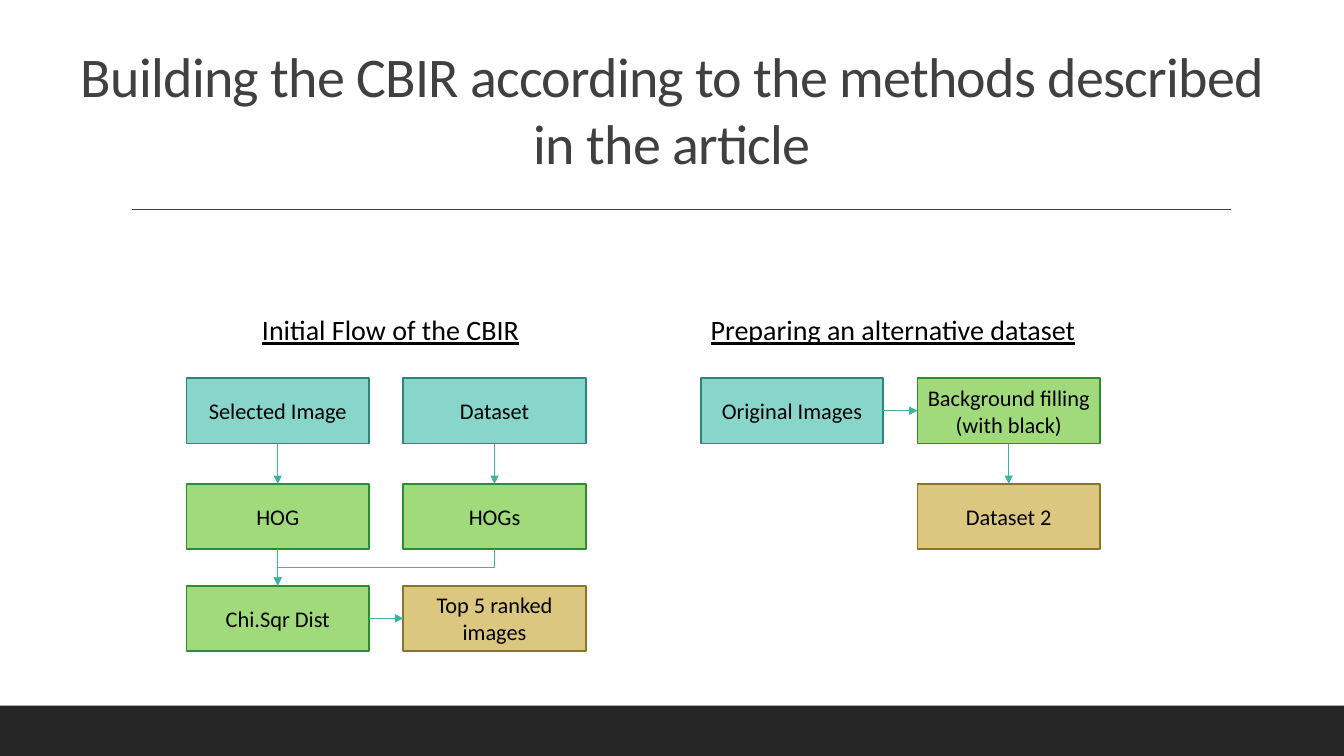
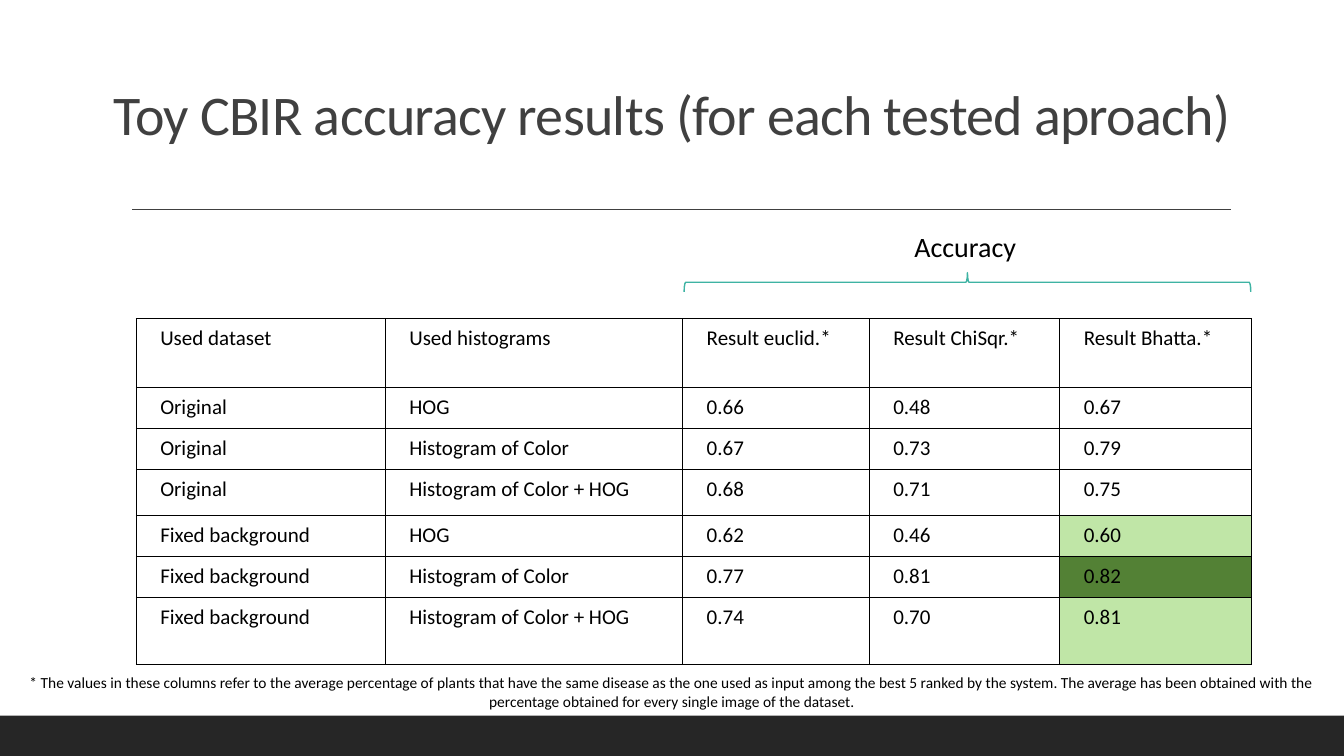
from dataclasses import dataclass

from lxml.etree import SubElement
from pptx import Presentation
from pptx.dml.color import RGBColor
from pptx.enum.shapes import MSO_CONNECTOR, MSO_SHAPE
from pptx.enum.text import MSO_ANCHOR, MSO_AUTO_SIZE, PP_ALIGN
from pptx.oxml.ns import qn
from pptx.util import Inches, Pt


@dataclass(frozen=True)
class Theme:
    font: str = "Calibri"
    title_size: int = 40
    heading_size: int = 20
    box_size: int = 16
    cell_size: int = 15
    note_size: int = 11
    ink: str = "000000"
    paper: str = "FFFFFF"
    title: str = "404040"
    band: str = "262626"
    accent: str = "3EB3A3"
    good: str = "C0E6A7"
    best: str = "538135"
    # Fill and outline of each kind of box
    source: tuple = ("87D5CB", "2E867A")
    step: tuple = ("A0DA7B", "2F8A32")
    result: tuple = ("DBC77F", "8A7427")


theme = Theme()
color = RGBColor.from_string


def write(frame, text, size, ink=theme.ink, align=PP_ALIGN.LEFT, underline=None):
    """Fill a text frame with one formatted paragraph and return its span."""
    para = frame.paragraphs[0]
    para.alignment = align
    span = para.add_run()
    span.text = text
    formats = {"name": theme.font, "size": Pt(size), "underline": underline}
    for name, value in formats.items():
        setattr(span.font, name, value)
    span.font.color.rgb = color(ink)
    return span


def style_line(connector, ink, arrow=False):
    """Give a connector its color, an optional arrowhead and no shadow."""
    connector.line.color.rgb = color(ink)
    connector.line.width = Pt(1)
    if arrow:
        SubElement(connector.line._get_or_add_ln(), qn("a:tailEnd"), type="triangle")
    SubElement(connector.element.spPr, qn("a:effectLst"))


deck = Presentation()
deck.slide_width, deck.slide_height = Inches(13.33), Inches(7.5)
layout = deck.slide_layouts.get_by_name("Title Only")

# Pages with their titles
titles = [
    ("Building the CBIR according to the methods described in the article", 0.35, 1.45),
    ("Toy CBIR accuracy results (for each tested aproach)", 0.74, 0.77),
]
pages = []
for text, top, height in titles:
    page = deck.slides.add_slide(layout)
    title = page.shapes.title
    place = {"left": 0.62, "top": top, "width": 12.09, "height": height}
    for name, value in place.items():
        setattr(title, name, Inches(value))
    title.text_frame.auto_size = MSO_AUTO_SIZE.NONE
    title.text_frame.vertical_anchor = MSO_ANCHOR.MIDDLE
    span = write(title.text_frame, text, theme.title_size, theme.title, PP_ALIGN.CENTER)
    span.font._element.set("spc", "-50")
    pages.append(page)
flow_page, results_page = pages

# Shared band and title rule, moved to the layout
band = flow_page.shapes.add_shape(
    MSO_SHAPE.RECTANGLE, 0, Inches(7), deck.slide_width, Inches(0.5))
band.shadow.inherit = False
band.fill.solid()
band.fill.fore_color.rgb = color(theme.band)
band.line.fill.background()
rule = flow_page.shapes.add_connector(
    MSO_CONNECTOR.STRAIGHT, Inches(1.31), Inches(2.08), Inches(12.21), Inches(2.08))
style_line(rule, theme.title)
for shape in (band, rule):
    layout.shapes.element.append(shape.element)

# Flow headings
headings = [
    ("Initial Flow of the CBIR", 2.5, 2.78),
    ("Preparing an alternative dataset", 6.95, 3.86),
]
for text, left, width in headings:
    heading = flow_page.shapes.add_textbox(
        Inches(left), Inches(3.05), Inches(width), Inches(0.44))
    heading.text_frame.word_wrap = False
    write(heading.text_frame, text, theme.heading_size, underline=True)

# Flow boxes: text, column, row, kind
column_lefts = [1.85, 4, 6.95, 9.1]
row_tops = [3.75, 4.8, 5.81]
box_width, box_height = 1.81, 0.65
steps = [
    ("Selected Image", 0, 0, theme.source),
    ("Dataset", 1, 0, theme.source),
    ("HOG", 0, 1, theme.step),
    ("HOGs", 1, 1, theme.step),
    ("Chi.Sqr Dist", 0, 2, theme.step),
    ("Top 5 ranked images", 1, 2, theme.result),
    ("Original Images", 2, 0, theme.source),
    ("Background filling (with black)", 3, 0, theme.step),
    ("Dataset 2", 3, 1, theme.result),
]
boxes = {}
for text, column, row, (fill, outline) in steps:
    box = flow_page.shapes.add_shape(
        MSO_SHAPE.RECTANGLE, Inches(column_lefts[column]), Inches(row_tops[row]),
        Inches(box_width), Inches(box_height))
    box.shadow.inherit = False
    box.fill.solid()
    box.fill.fore_color.rgb = color(fill)
    box.line.color.rgb = color(outline)
    box.line.width = Pt(1.25)
    box.text_frame.word_wrap = True
    box.text_frame.vertical_anchor = MSO_ANCHOR.MIDDLE
    write(box.text_frame, text, theme.box_size, align=PP_ALIGN.CENTER)
    boxes[column, row] = box

# Straight arrows between box sides
TOP, LEFT, BOTTOM, RIGHT = range(4)
arrows = [
    ((0, 0), BOTTOM, (0, 1), TOP),
    ((1, 0), BOTTOM, (1, 1), TOP),
    ((0, 1), BOTTOM, (0, 2), TOP),
    ((0, 2), RIGHT, (1, 2), LEFT),
    ((2, 0), RIGHT, (3, 0), LEFT),
    ((3, 0), BOTTOM, (3, 1), TOP),
]
for start, start_side, end, end_side in arrows:
    arrow = flow_page.shapes.add_connector(MSO_CONNECTOR.STRAIGHT, 0, 0, 0, 0)
    arrow.begin_connect(boxes[start], start_side)
    arrow.end_connect(boxes[end], end_side)
    style_line(arrow, theme.accent, arrow=True)

# Elbow from HOGs down to Chi.Sqr Dist, turned to leave vertically
span_x = column_lefts[1] - column_lefts[0]
drop = row_tops[2] - row_tops[1] - box_height
center_x = column_lefts[0] + (box_width + span_x) / 2
center_y = row_tops[2] - drop / 2
elbow = flow_page.shapes.add_connector(
    MSO_CONNECTOR.ELBOW,
    Inches(center_x - drop / 2), Inches(center_y - span_x / 2),
    Inches(center_x + drop / 2), Inches(center_y + span_x / 2))
elbow.element.spPr.xfrm.rot = 90
style_line(elbow, theme.accent, arrow=True)

# Results table
rows = [
    ("Used dataset", "Used histograms", "Result euclid.*", "Result ChiSqr.*", "Result Bhatta.*"),
    ("Original", "HOG", "0.66", "0.48", "0.67"),
    ("Original", "Histogram of Color", "0.67", "0.73", "0.79"),
    ("Original", "Histogram of Color + HOG", "0.68", "0.71", "0.75"),
    ("Fixed background", "HOG", "0.62", "0.46", "0.60"),
    ("Fixed background", "Histogram of Color", "0.77", "0.81", "0.82"),
    ("Fixed background", "Histogram of Color + HOG", "0.74", "0.70", "0.81"),
]
column_widths = [2.47, 2.95, 1.85, 1.89, 1.9]
row_heights = [0.68, 0.41, 0.41, 0.45, 0.41, 0.41, 0.66]
highlights = {(4, 4): theme.good, (5, 4): theme.best, (6, 4): theme.good}
margins = {"margin_left": 0.24, "margin_top": 0.07, "margin_right": 0.24, "margin_bottom": 0.07}
table = results_page.shapes.add_table(
    len(rows), len(column_widths), Inches(1.35), Inches(3.16),
    Inches(sum(column_widths)), Inches(sum(row_heights))).table
table.first_row = table.horz_banding = False
for column, width in zip(table.columns, column_widths):
    column.width = Inches(width)
for r, (texts, height) in enumerate(zip(rows, row_heights)):
    table.rows[r].height = Inches(height)
    for c, text in enumerate(texts):
        cell = table.cell(r, c)
        for name, value in margins.items():
            setattr(cell, name, Inches(value))
        write(cell.text_frame, text, theme.cell_size)
        properties = cell._tc.get_or_add_tcPr()
        for side in ("lnL", "lnR", "lnT", "lnB"):
            border = SubElement(properties, qn(f"a:{side}"), w=str(Pt(0.6)))
            border_fill = SubElement(border, qn("a:solidFill"))
            SubElement(border_fill, qn("a:srgbClr"), val=theme.ink)
        cell.fill.solid()
        cell.fill.fore_color.rgb = color(highlights.get((r, c), theme.paper))

# Accuracy brace over the result columns
brace = results_page.shapes.add_shape(
    MSO_SHAPE.LEFT_BRACE, Inches(9.5), Inches(-0.01), Inches(0.19), Inches(5.62))
brace.rotation = 90
brace.shadow.inherit = False
brace.fill.background()
brace.line.color.rgb = color(theme.accent)
brace.line.width = Pt(1)
label = results_page.shapes.add_textbox(
    Inches(8.97), Inches(2.23), Inches(1.23), Inches(0.44))
label.text_frame.word_wrap = True
write(label.text_frame, "Accuracy", theme.heading_size)

# Footnote, covering the upper edge of the band
note = results_page.shapes.add_textbox(0, Inches(6.63), deck.slide_width, Inches(0.47))
note.fill.solid()
note.fill.fore_color.rgb = color(theme.paper)
note.text_frame.word_wrap = True
write(
    note.text_frame,
    "* The values in these columns refer to the average percentage of plants that have "
    "the same disease as the one used as input among the best 5 ranked by the system. "
    "The average has been obtained with the percentage obtained for every single image "
    "of the dataset.",
    theme.note_size, align=PP_ALIGN.CENTER)

deck.save("out.pptx")
